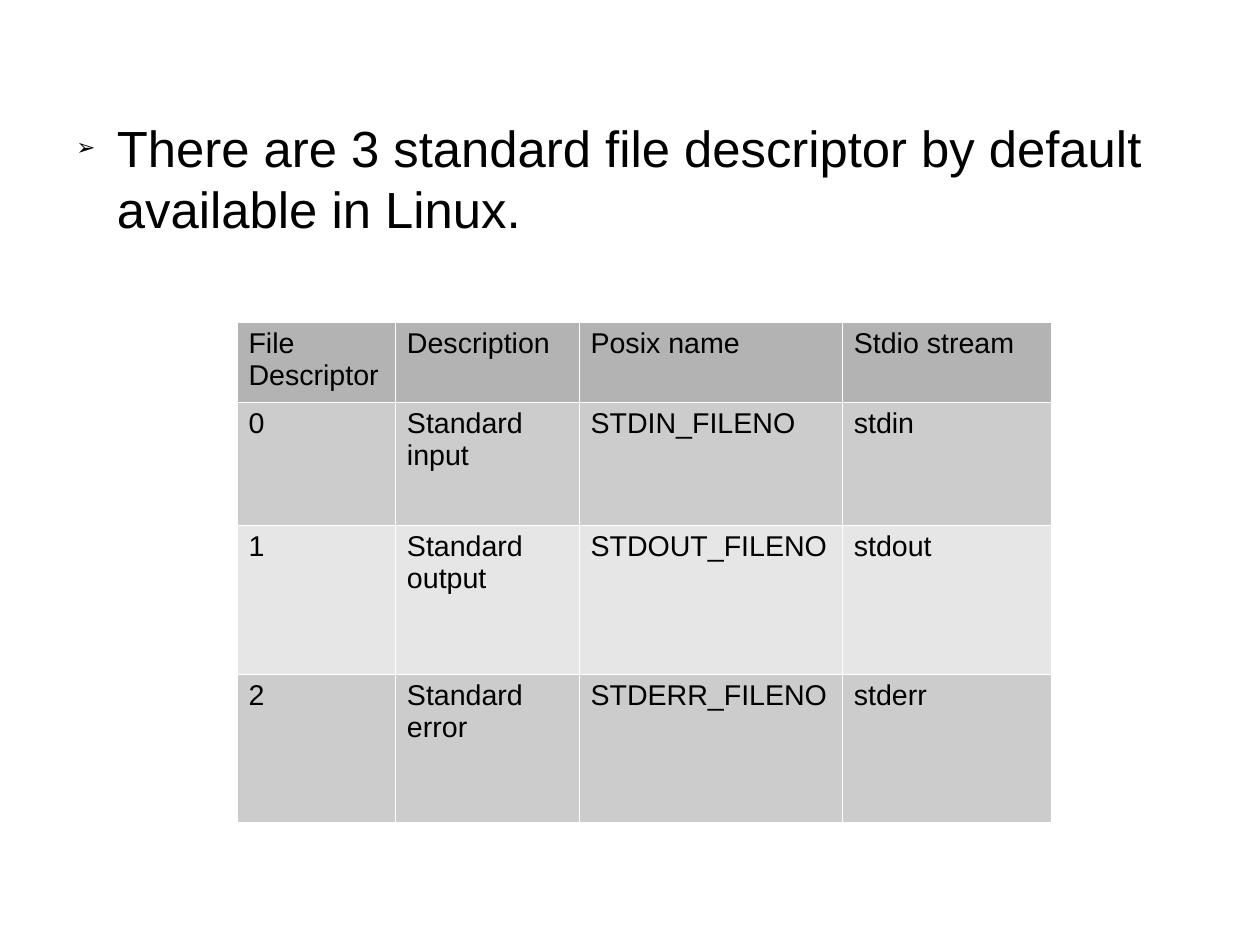
import pptx
import pptx.dml.color
import pptx.oxml
import pptx.oxml.ns
import pptx.util

Cm = pptx.util.Cm
Pt = pptx.util.Pt


def rgb(value):
    return pptx.dml.color.RGBColor.from_string(value)


class SlideBuilder:
    """Hold the style and the current slide, and add elements to it."""

    font = "Arial"
    ink = "000000"
    border = "FFFFFF"
    header_fill = "B3B3B3"
    band_fills = ("CCCCCC", "E6E6E6")

    def __init__(self, slide):
        self.slide = slide

    def set_text(self, tf, text, size):
        tf.text = text
        for p in tf.paragraphs:
            for r in p.runs:
                r.font.name = self.font
                r.font.size = Pt(size)
                r.font.color.rgb = rgb(self.ink)

    def bullet(self, text, left, top, width, height, size):
        sp = self.slide.shapes.add_textbox(Cm(left), Cm(top), Cm(width), Cm(height))
        tf = sp.text_frame
        tf.word_wrap = True
        tf.margin_left = tf.margin_top = tf.margin_right = tf.margin_bottom = 0
        self.set_text(tf, text, size)
        pPr = tf.paragraphs[0]._p.get_or_add_pPr()
        pPr.set("marL", str(Cm(1.2)))
        pPr.set("indent", str(-Cm(0.9)))
        ns = pptx.oxml.ns.nsdecls("a")
        for xml in (
            f'<a:buClr {ns}><a:srgbClr val="{self.ink}"/></a:buClr>',
            f'<a:buSzPct {ns} val="45000"/>',
            f'<a:buFont {ns} typeface="{self.font}"/>',
            f'<a:buChar {ns} char="➢"/>',
        ):
            pPr.append(pptx.oxml.parse_xml(xml))

    def cell_borders(self, cell):
        tcPr = cell._tc.get_or_add_tcPr()
        ns = pptx.oxml.ns.nsdecls("a")
        for side in "LRTB":
            tcPr.append(pptx.oxml.parse_xml(
                f'<a:ln{side} {ns} w="{Pt(0.06)}"><a:solidFill>'
                f'<a:srgbClr val="{self.border}"/></a:solidFill></a:ln{side}>'))

    def table(self, rows, left, top, widths, heights, size):
        frame = self.slide.shapes.add_table(
            len(rows), len(widths), Cm(left), Cm(top),
            Cm(sum(widths)), Cm(sum(heights)))
        table = frame.table
        table.first_row = table.horz_banding = False
        for column, width in zip(table.columns, widths):
            column.width = Cm(width)
        for i, (values, height) in enumerate(zip(rows, heights)):
            table.rows[i].height = Cm(height)
            fill = self.band_fills[(i - 1) % 2] if i else self.header_fill
            for j, value in enumerate(values):
                cell = table.cell(i, j)
                self.set_text(cell.text_frame, value, size)
                self.cell_borders(cell)
                cell.fill.solid()
                cell.fill.fore_color.rgb = rgb(fill)


def main():
    prs = pptx.Presentation()
    prs.slide_width, prs.slide_height = Cm(28), Cm(21)
    builder = SlideBuilder(prs.slides.add_slide(prs.slide_layouts[6]))
    builder.bullet(
        "There are 3 standard file descriptor by default available in Linux.",
        1.4, 2.6, 25.2, 14.5, 32)
    descriptors = [
        ("File Descriptor", "Description", "Posix name", "Stdio stream"),
        ("0", "Standard input", "STDIN_FILENO", "stdin"),
        ("1", "Standard output", "STDOUT_FILENO", "stdout"),
        ("2", "Standard error", "STDERR_FILENO", "stderr"),
    ]
    builder.table(descriptors, 5.27, 7.15, (3.52, 4.08, 5.85, 4.64),
                  (1.68, 2.74, 3.3, 3.3), 18)
    prs.save("out.pptx")


if __name__ == "__main__":
    main()
